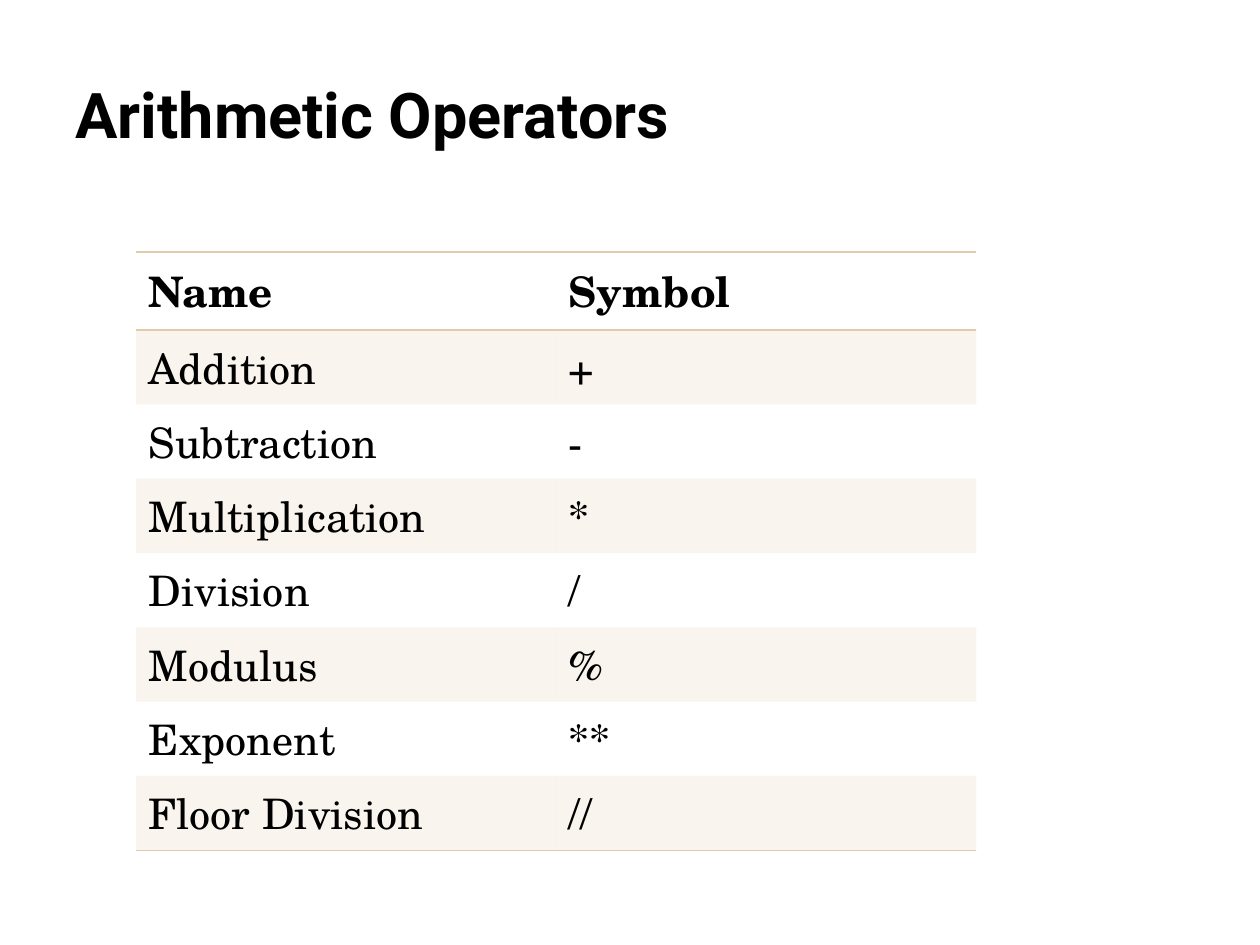
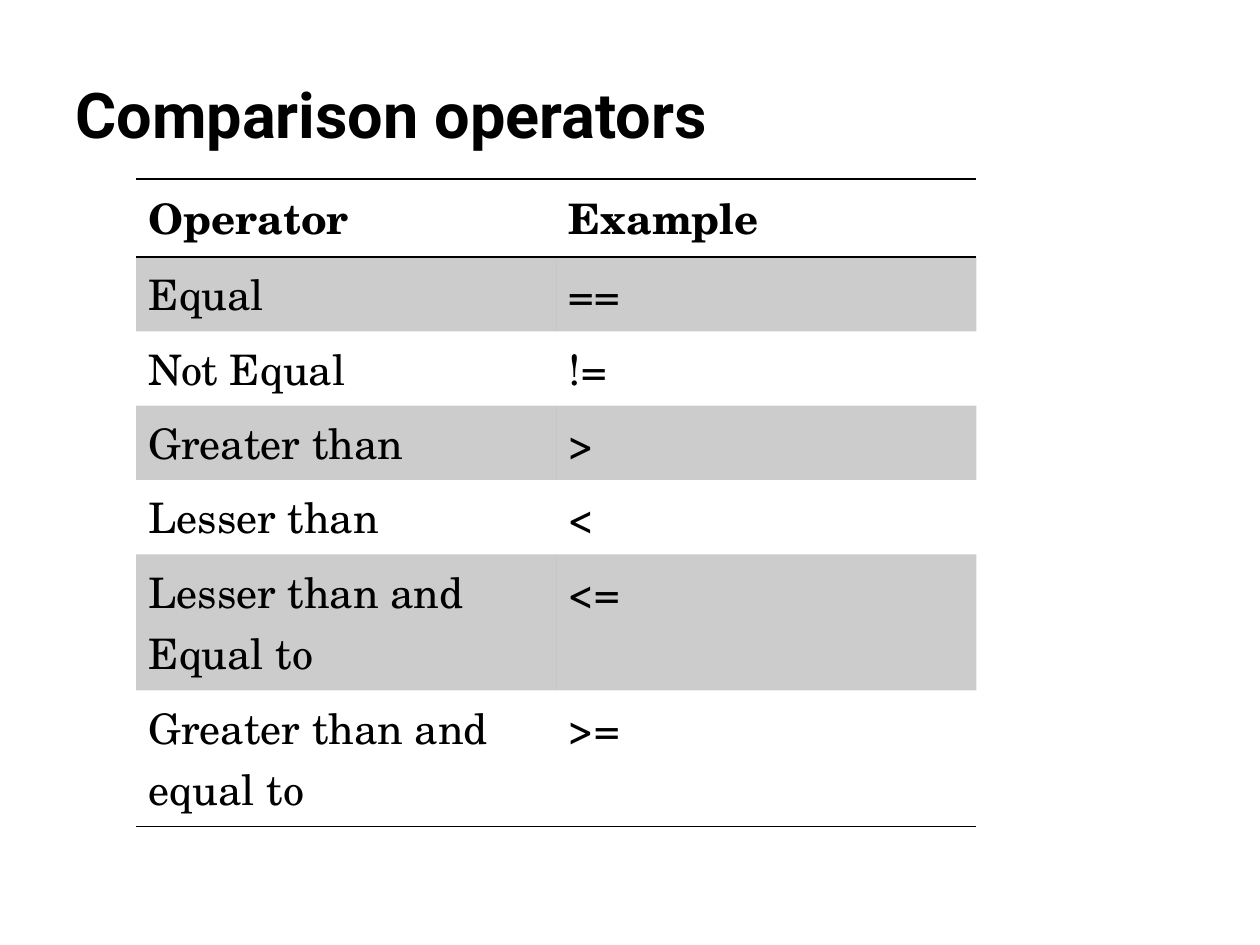
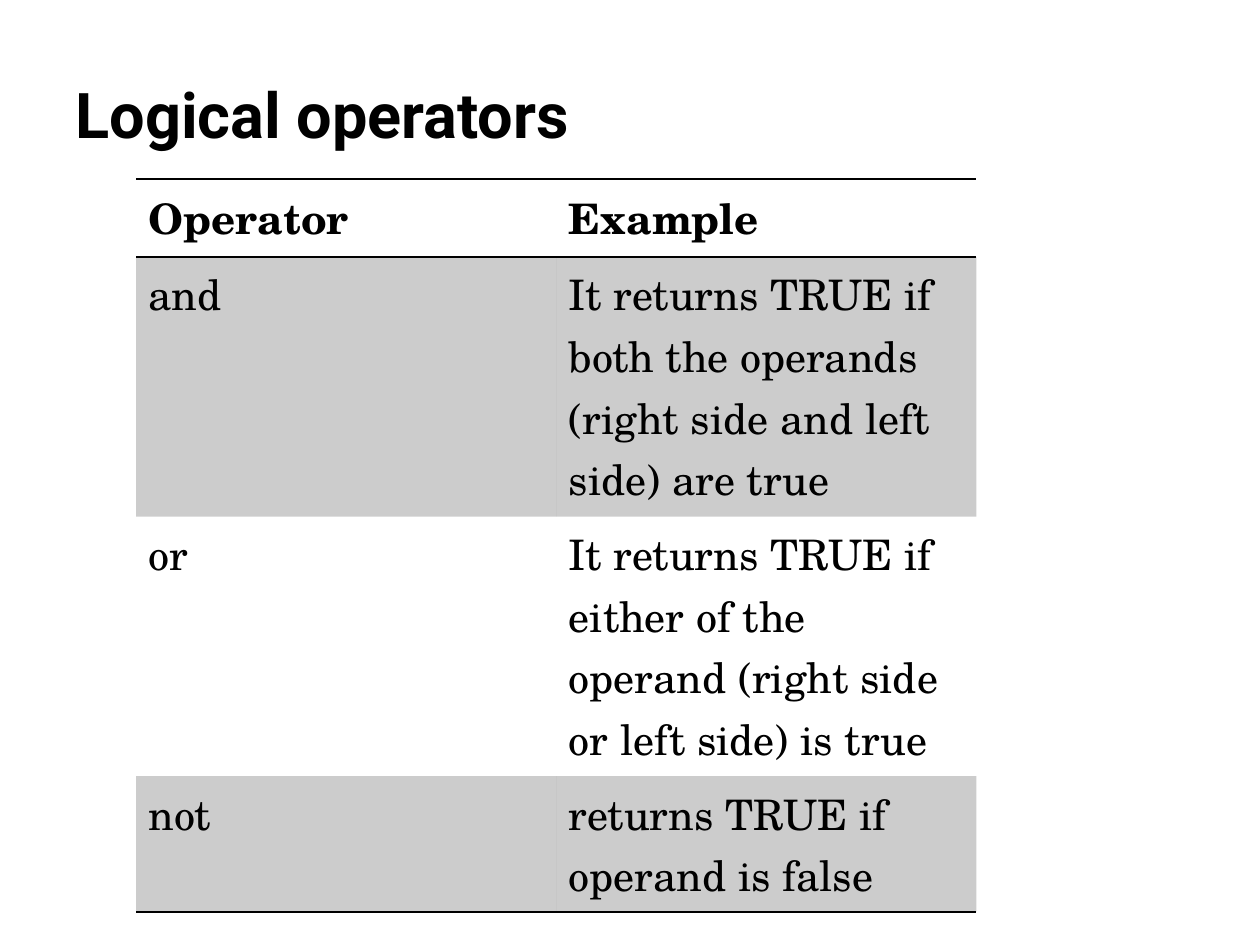
from math import ceil

from lxml.etree import SubElement
from pptx import Presentation
from pptx.dml.color import RGBColor
from pptx.enum.text import MSO_ANCHOR as Anchor
from pptx.oxml.ns import qn
from pptx.util import Inches, Pt

BLACK = RGBColor(0x00, 0x00, 0x00)
SAND = RGBColor(0xE2, 0xCA, 0xAA)
TITLE_FONT = "Roboto"
BODY_FONT = "TeX Gyre Schola"
PLAIN_STYLE = "{2D5ABB26-0587-4C30-8999-92F81FD0307C}"
HEADER_HEIGHT = 0.62
LINE_HEIGHT = 0.49
CELL_PADDING = 0.1
LETTERS_PER_LINE = 20
BAND_OPACITY = 20

ARITHMETIC = [
    ("Name", "Symbol"),
    ("Addition", "+"),
    ("Subtraction", "-"),
    ("Multiplication", "*"),
    ("Division", "/"),
    ("Modulus", "%"),
    ("Exponent", "**"),
    ("Floor Division", "//"),
]
COMPARISON = [
    ("Operator", "Example"),
    ("Equal", "=="),
    ("Not Equal", "!="),
    ("Greater than", ">"),
    ("Lesser than", "<"),
    ("Lesser than and Equal to", "<="),
    ("Greater than and equal to", ">="),
]
LOGICAL = [
    ("Operator", "Example"),
    ("and", "It returns TRUE if both the operands (right side and left side) are true"),
    ("or", "It returns TRUE if either of the operand (right side or left side) is true"),
    ("not", "returns TRUE if operand is false"),
]


def style_text(text_frame, font_name, size, bold):
    for paragraph in text_frame.paragraphs:
        for run in paragraph.runs:
            run.font.name = font_name
            run.font.size = Pt(size)
            run.font.bold = bold
            run.font.color.rgb = BLACK


def add_title(slide, title):
    box = slide.shapes.add_textbox(Inches(0.5), Inches(0.08), Inches(7.42), Inches(1.17))
    heading = box.text_frame
    heading.word_wrap = True
    heading.vertical_anchor = Anchor.BOTTOM
    heading.text = title
    style_text(heading, TITLE_FONT, 36, True)


def add_rule(cell, edge, color):
    rule = SubElement(cell._tc.get_or_add_tcPr(), qn(edge), w=str(Pt(1)))
    fill = SubElement(rule, qn("a:solidFill"))
    SubElement(fill, qn("a:srgbClr"), val=str(color))


def fill_band(cell, color):
    cell.fill.solid()
    cell.fill.fore_color.rgb = color
    tint = cell._tc.tcPr.find(qn("a:solidFill")).find(qn("a:srgbClr"))
    SubElement(tint, qn("a:alpha"), val=str(BAND_OPACITY * 1000))


def row_height(entry):
    lines = ceil(max(len(text) for text in entry) / LETTERS_PER_LINE)
    return LINE_HEIGHT * lines + CELL_PADDING


def add_operator_table(slide, entries, top, accent):
    heights = [HEADER_HEIGHT] + [row_height(entry) for entry in entries[1:]]
    frame = slide.shapes.add_table(
        len(entries), 2, Inches(1.08), Inches(top),
        Inches(6.67), Inches(sum(heights)))
    operators = frame.table
    operators.horz_banding = False
    operators._tbl.tblPr.find(qn("a:tableStyleId")).text = PLAIN_STYLE
    last = len(entries) - 1
    for index, entry in enumerate(entries):
        operators.rows[index].height = Inches(heights[index])
        for column, text in enumerate(entry):
            cell = operators.cell(index, column)
            cell.text_frame.text = text
            style_text(cell.text_frame, BODY_FONT, 24, index == 0)
            if index == 0:
                add_rule(cell, "a:lnT", accent)
            if index in (0, last):
                add_rule(cell, "a:lnB", accent)
            if index % 2:
                fill_band(cell, accent)
            else:
                cell.fill.background()


def main():
    deck = Presentation()
    deck.slide_width = Inches(10)
    deck.slide_height = Inches(7.5)
    for title, entries, top, accent in (
        ("Arithmetic Operators", ARITHMETIC, 2, SAND),
        ("Comparison operators", COMPARISON, 1.42, BLACK),
        ("Logical operators", LOGICAL, 1.42, BLACK),
    ):
        slide = deck.slides.add_slide(deck.slide_layouts[6])
        add_title(slide, title)
        add_operator_table(slide, entries, top, accent)
    deck.save("out.pptx")


if __name__ == "__main__":
    main()
